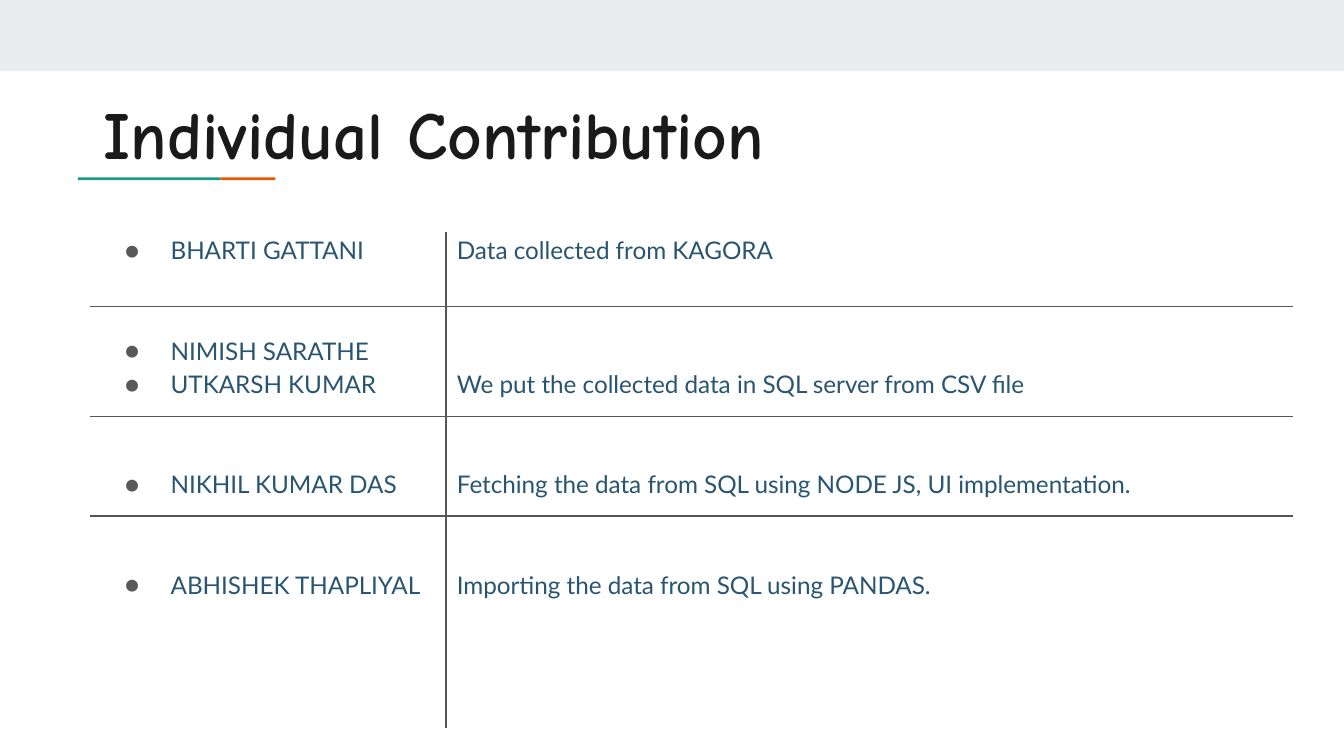
from typing import NamedTuple

from lxml import etree
from pptx import Presentation
from pptx.dml.color import RGBColor
from pptx.enum import shapes, text
from pptx.oxml import ns
from pptx.util import Inches, Pt

BAND = RGBColor(0xE9, 0xED, 0xEE)
TEAL = RGBColor(0x1A, 0x99, 0x88)
ORANGE = RGBColor(0xEB, 0x56, 0x00)
INK = RGBColor(0x1A, 0x1A, 0x1A)
BODY = RGBColor(0x29, 0x55, 0x70)
BULLET = RGBColor(0x59, 0x59, 0x59)
RULE = RGBColor(0x57, 0x57, 0x57)

TITLE_FONT = {"name": "Comic Neue", "size": Pt(36), "bold": True}
BODY_FONT = {"name": "Lato", "size": Pt(13)}
LINE_SPACING = 1.15
LINE_PITCH = 17.9  # points from one body line to the next
SLIDE_WIDTH = 10


class Entry(NamedTuple):
    line: int  # line number in the body, counted from 0
    text: str


class Bar(NamedTuple):
    left: float
    top: float
    width: float
    height: float
    color: RGBColor


class Rule(NamedTuple):
    x1: float
    y1: float
    x2: float
    y2: float


BARS = [
    Bar(0, 0, SLIDE_WIDTH, 0.53, BAND),
    Bar(0.58, 1.32, 1.06, 0.02, TEAL),
    Bar(1.64, 1.32, 0.41, 0.02, ORANGE),
]
MEMBERS = [
    Entry(0, "BHARTI GATTANI"),
    Entry(3, "NIMISH SARATHE"),
    Entry(4, "UTKARSH KUMAR"),
    Entry(7, "NIKHIL KUMAR DAS"),
    Entry(10, "ABHISHEK THAPLIYAL"),
]
CONTRIBUTIONS = [
    Entry(0, "Data collected from KAGORA"),
    Entry(4, "We put the collected data in SQL server from CSV file"),
    Entry(7, "Fetching the data from SQL using NODE JS, UI implementation."),
    Entry(10, "Importing the data from SQL using PANDAS."),
]
RULES = [Rule(3.32, 1.73, 3.32, 5.42)]
RULES += [Rule(0.67, y, 9.62, y) for y in (2.28, 3.1, 3.84)]


def add_bar(s, bar: Bar) -> None:
    sp = s.shapes.add_shape(shapes.MSO_SHAPE.RECTANGLE, *map(Inches, bar[:4]))
    sp.shadow.inherit = False
    sp.fill.solid()
    sp.fill.fore_color.rgb = bar.color
    sp.line.fill.background()


def add_rule(s, rule: Rule) -> None:
    line = s.shapes.add_connector(shapes.MSO_CONNECTOR.STRAIGHT, *map(Inches, rule))
    line.line.color.rgb = RULE
    line.line.width = Pt(0.75)
    etree.SubElement(line._element.spPr, ns.qn("a:effectLst"))


def add_frame(s, left: float, top: float, width: float, height: float):
    """Add a wrapping text box with no side insets and return its frame."""
    tf = s.shapes.add_textbox(*map(Inches, (left, top, width, height))).text_frame
    settings = {
        "word_wrap": True,
        "vertical_anchor": text.MSO_ANCHOR.TOP,
        "margin_left": 0,
        "margin_right": 0,
        "margin_top": Inches(0.1),
        "margin_bottom": Inches(0.1),
    }
    for name, value in settings.items():
        setattr(tf, name, value)
    return tf


def add_run(p, content: str, font: dict, color: RGBColor) -> None:
    r = p.add_run()
    r.text = content
    for name, value in font.items():
        setattr(r.font, name, value)
    r.font.color.rgb = color


def add_bullet(p) -> None:
    pPr = p._p.get_or_add_pPr()
    pPr.set("marL", str(Inches(0.5)))
    pPr.set("indent", str(Inches(-0.34)))
    color = etree.SubElement(pPr, ns.qn("a:buClr"))
    etree.SubElement(color, ns.qn("a:srgbClr"), val=str(BULLET))
    etree.SubElement(pPr, ns.qn("a:buFont"), typeface=BODY_FONT["name"])
    etree.SubElement(pPr, ns.qn("a:buChar"), char="●")


def add_column(s, left: float, width: float, entries: list[Entry],
               bulleted: bool = False) -> None:
    """Write entries on their body lines, skipping lines with space before."""
    tf = add_frame(s, left, 1.62, width, 3.81)
    previous = None
    for entry in entries:
        p = tf.add_paragraph() if previous else tf.paragraphs[0]
        if bulleted:
            add_bullet(p)
        p.line_spacing = LINE_SPACING
        if previous:
            p.space_before = Pt((entry.line - previous.line - 1) * LINE_PITCH)
        add_run(p, entry.text, BODY_FONT, BODY)
        previous = entry


def main() -> None:
    prs = Presentation()
    prs.slide_width = Inches(SLIDE_WIDTH)
    prs.slide_height = Inches(SLIDE_WIDTH * 9 / 16)
    s = prs.slides.add_slide(prs.slide_layouts[6])
    for bar in BARS:
        add_bar(s, bar)
    title = add_frame(s, 0.77, 0.59, 8.21, 0.59)
    add_run(title.paragraphs[0], "Individual Contribution", TITLE_FONT, INK)
    add_column(s, 0.77, 2.5, MEMBERS, bulleted=True)
    add_column(s, 3.4, 6.1, CONTRIBUTIONS)
    for rule in RULES:
        add_rule(s, rule)
    prs.save("out.pptx")


if __name__ == "__main__":
    main()
